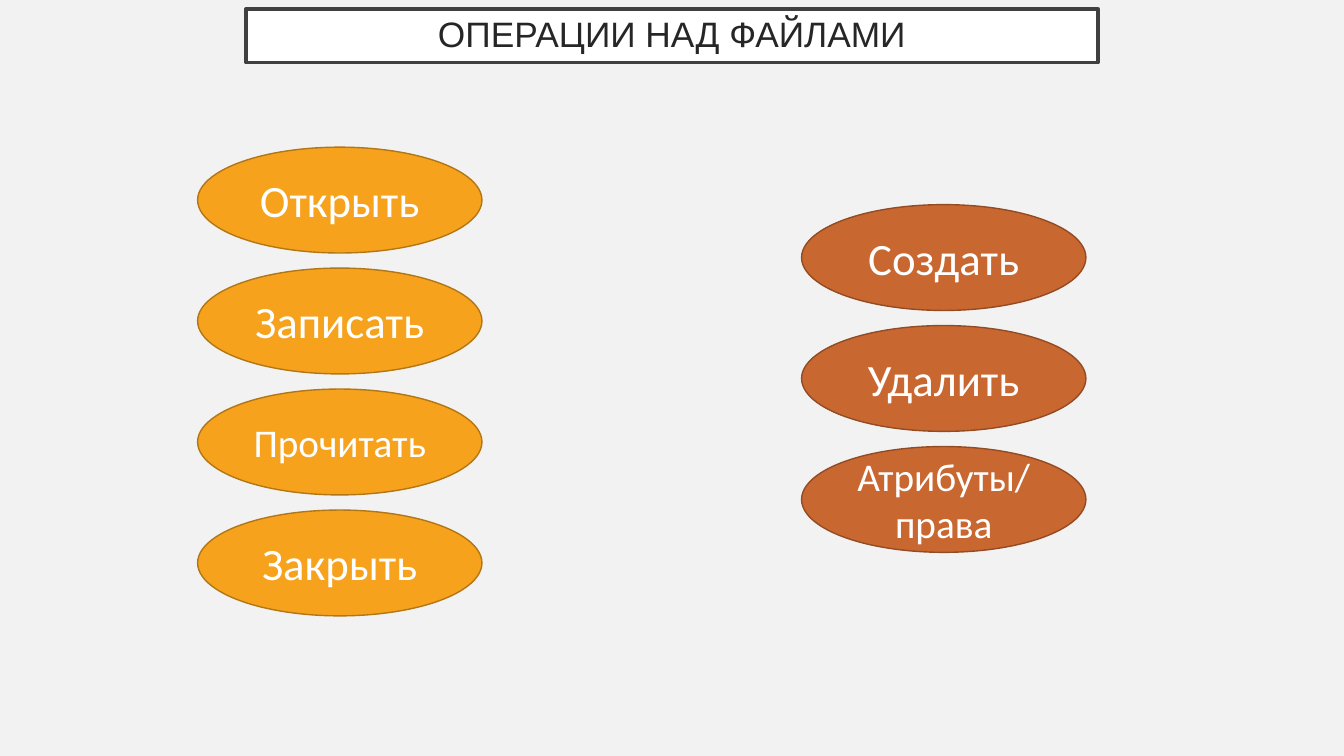
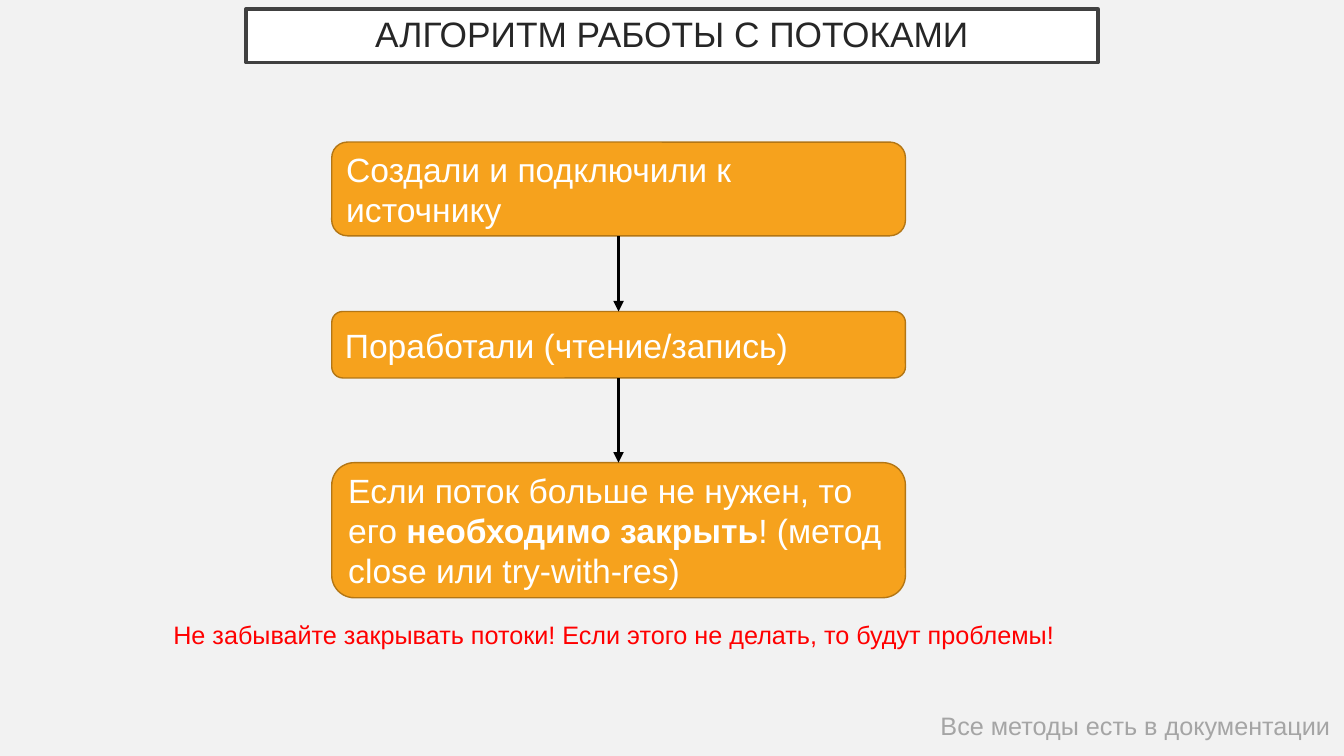
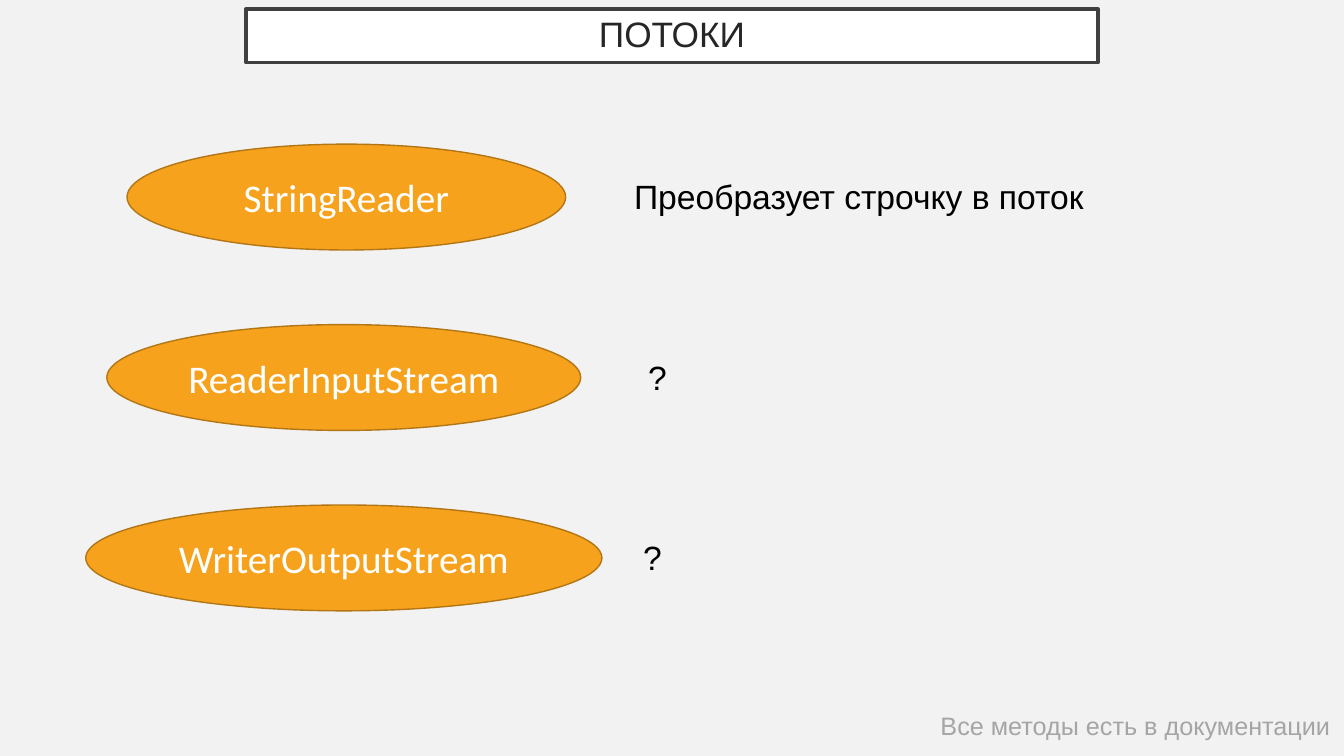
import pptx
import pptx.dml.color
import pptx.enum.shapes
import pptx.enum.text
import pptx.oxml
import pptx.oxml.ns
import pptx.util

Inches = pptx.util.Inches
Pt = pptx.util.Pt
RGBColor = pptx.dml.color.RGBColor
SHAPE = pptx.enum.shapes.MSO_SHAPE
ALIGN = pptx.enum.text.PP_ALIGN
AUTO_SIZE = pptx.enum.text.MSO_AUTO_SIZE
MIDDLE = pptx.enum.text.MSO_ANCHOR.MIDDLE

BACKGROUND = RGBColor(0xF2, 0xF2, 0xF2)
WHITE = RGBColor(0xFF, 0xFF, 0xFF)
BLACK = RGBColor(0, 0, 0)
RED = RGBColor(0xFF, 0, 0)
GRAY = RGBColor(0xA5, 0xA5, 0xA5)
TITLE_TEXT = RGBColor(0x26, 0x26, 0x26)
TITLE_BORDER = RGBColor(0x40, 0x40, 0x40)
ORANGE = RGBColor(0xF6, 0xA2, 0x1D)
ORANGE_EDGE = RGBColor(0xB3, 0x76, 0x15)
RUST = RGBColor(0xC9, 0x67, 0x31)
RUST_EDGE = RGBColor(0x92, 0x4B, 0x23)

OVAL_HEIGHT = 1.05


def add_node(slide, preset, left, top, width, height, text, size,
             font="Calibri", align=ALIGN.CENTER, fill=ORANGE, edge=ORANGE_EDGE):
    node = slide.shapes.add_shape(
        preset, Inches(left), Inches(top), Inches(width), Inches(height))
    node.shadow.inherit = False
    node.fill.solid()
    node.fill.fore_color.rgb = fill
    node.line.color.rgb = edge
    node.line.width = Pt(1)
    paragraph = node.text_frame.paragraphs[0]
    paragraph.add_run().text = text
    paragraph.alignment = align
    paragraph.font.name = font
    paragraph.font.size = Pt(size)
    paragraph.font.color.rgb = WHITE
    return node


def add_label(slide, left, top, width, height, text, size, color):
    label = slide.shapes.add_textbox(
        Inches(left), Inches(top), Inches(width), Inches(height))
    label.text_frame.word_wrap = True
    label.text_frame.auto_size = AUTO_SIZE.SHAPE_TO_FIT_TEXT
    paragraph = label.text_frame.paragraphs[0]
    paragraph.text = text
    paragraph.font.name = "Arial"
    paragraph.font.size = Pt(size)
    paragraph.font.color.rgb = color


presentation = pptx.Presentation()
presentation.slide_width = Inches(13.33)
presentation.slide_height = Inches(7.5)
master_fill = presentation.slide_master.background.fill
master_fill.solid()
master_fill.fore_color.rgb = BACKGROUND

# Slides with their shared title bar and footer note
slides = []
for heading, has_note in [
    ("ОПЕРАЦИИ НАД ФАЙЛАМИ", False),
    ("АЛГОРИТМ РАБОТЫ С ПОТОКАМИ", True),
    ("ПОТОКИ", True),
]:
    slide = presentation.slides.add_slide(presentation.slide_layouts[5])
    title = slide.shapes.title
    title.left, title.top = Inches(2.44), Inches(0.09)
    title.width, title.height = Inches(8.45), Inches(0.53)
    title.fill.solid()
    title.fill.fore_color.rgb = WHITE
    title.line.color.rgb = TITLE_BORDER
    title.line.width = Pt(2.5)
    frame = title.text_frame
    frame.auto_size = AUTO_SIZE.NONE
    frame.vertical_anchor = MIDDLE
    frame.margin_left = frame.margin_right = Inches(0.2)
    frame.margin_top = frame.margin_bottom = Inches(0.2)
    paragraph = frame.paragraphs[0]
    paragraph.text = heading
    paragraph.alignment = ALIGN.CENTER
    paragraph.line_spacing = 0.9
    paragraph.font.name = "Arial"
    paragraph.font.size = Pt(25.2)
    paragraph.font.color.rgb = TITLE_TEXT
    if has_note:
        add_label(slide, 9.23, 7, 4.1, 0.4, "Все методы есть в документации", 18, GRAY)
    slides.append(slide)
operations_slide, algorithm_slide, streams_slide = slides

# File operations: two columns of ovals
for left, first_top, fill, edge, operations in [
    (1.96, 1.46, ORANGE, ORANGE_EDGE,
     [("Открыть", 32), ("Записать", 32), ("Прочитать", 28), ("Закрыть", 32)]),
    (7.95, 2.03, RUST, RUST_EDGE,
     [("Создать", 32), ("Удалить", 32), ("Атрибуты/права", 28)]),
]:
    for row, (operation, size) in enumerate(operations):
        add_node(operations_slide, SHAPE.OVAL, left, first_top + 1.2 * row,
                 2.82, OVAL_HEIGHT, operation, size, fill=fill, edge=edge)

# Stream algorithm: steps joined by arrows
steps = []
for top, height, text in [
    (1.41, 0.93, "Создали и подключили к источнику"),
    (3.09, 0.66, "Поработали (чтение/запись)"),
    (4.59, 1.34, "Если поток больше не нужен, то его "),
]:
    steps.append(add_node(algorithm_slide, SHAPE.ROUNDED_RECTANGLE, 3.29, top,
                          5.69, height, text, 24, font="Arial", align=ALIGN.LEFT))
closing = steps[-1].text_frame.paragraphs[0]
must_close = closing.add_run()
must_close.text = "необходимо закрыть"
must_close.font.bold = True
closing.add_run().text = "! (метод close или try-with-res)"

for upper, lower in zip(steps, steps[1:]):
    arrow = algorithm_slide.shapes.add_connector(
        pptx.enum.shapes.MSO_CONNECTOR.STRAIGHT, 0, 0, 0, 0)
    arrow.begin_connect(upper, 2)
    arrow.end_connect(lower, 0)
    arrow.line.color.rgb = BLACK
    arrow.line.width = Pt(2.5)
    head = pptx.oxml.parse_xml(
        f'<a:tailEnd {pptx.oxml.ns.nsdecls("a")} type="triangle"/>')
    arrow.line._get_or_add_ln().append(head)
    arrow._element.spPr.append(
        pptx.oxml.parse_xml(f'<a:effectLst {pptx.oxml.ns.nsdecls("a")}/>'))

add_label(algorithm_slide, 1.62, 6.09, 9.02, 0.4,
          "Не забывайте закрывать потоки! Если этого не делать, то будут проблемы!",
          18, RED)

# Stream classes with their purpose
for row, (left, width, stream, purpose_left, purpose_width, purpose) in enumerate([
    (1.26, 4.35, "StringReader", 6.19, 4.71, "Преобразует строчку в поток"),
    (1.06, 4.7, "ReaderInputStream", 6.33, 0.39, "?"),
    (0.85, 5.12, "WriterOutputStream", 6.28, 0.39, "?"),
]):
    top = 1.43 + 1.79 * row
    add_node(streams_slide, SHAPE.OVAL, left, top, width, OVAL_HEIGHT, stream, 28)
    add_label(streams_slide, purpose_left, top + 0.27, purpose_width, 0.5,
              purpose, 24, BLACK)

presentation.save("out.pptx")
